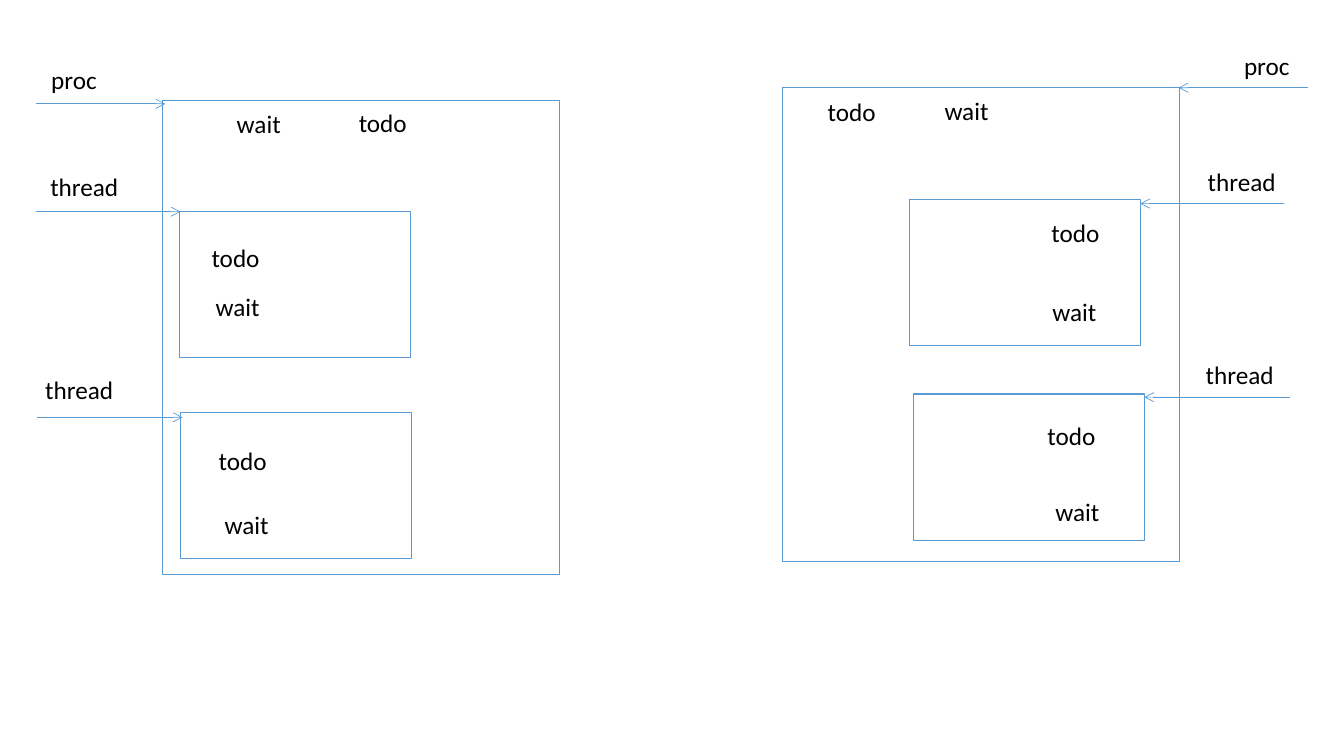
import pptx
import pptx.util
import pptx.dml.color
import pptx.enum.shapes
import pptx.enum.text
import pptx.oxml
import pptx.oxml.ns
import lxml.etree

BLUE = pptx.dml.color.RGBColor(0x5B, 0x9B, 0xD5)
WHITE = pptx.dml.color.RGBColor(0xFF, 0xFF, 0xFF)
BLACK = pptx.dml.color.RGBColor(0, 0, 0)

presentation = pptx.Presentation()
presentation.slide_width = pptx.util.Inches(13.33)
presentation.slide_height = pptx.util.Inches(7.5)
slide = presentation.slides.add_slide(presentation.slide_layouts[6])

# Grid: 133.3 columns by 75 rows, square cells
CELL = presentation.slide_height / 75
PROCESS_SIZE = (39.4, 47)
THREAD_SIZE = (22.9, 14.5)
LABEL_HEIGHT = 4
LABEL_WIDTHS = {"proc": 6.6, "thread": 8.8, "todo": 6.8, "wait": 6.4}
LABEL_FONT = {"name": "Calibri", "size": pptx.util.Pt(18)}
LABEL_FRAME = {
    "word_wrap": False,
    "auto_size": pptx.enum.text.MSO_AUTO_SIZE.SHAPE_TO_FIT_TEXT,
}


def grid(*cells):
    return [pptx.util.Emu(round(cell * CELL)) for cell in cells]


# Each process: its box and two thread boxes, labels by word,
# and arrows as (outer column, box column, row)
processes = [
    {
        "process": (16.1, 10),
        "threads": [(17.8, 21), (17.9, 40.9)],
        "labels": {
            "proc": [(4.1, 5.9)],
            "thread": [(4, 16.5), (3.5, 36.6)],
            "todo": [(34.6, 10.2), (20, 23.5), (20.7, 43.7)],
            "wait": [(22.5, 10.3), (20.4, 28.4), (21.3, 50)],
        },
        "arrows": [(3.6, 16.4, 10.3), (3.6, 17.9, 21), (3.7, 18.1, 41.4)],
    },
    {
        "process": (77.6, 8.7),
        "threads": [(90.2, 19.8), (90.6, 39.1)],
        "labels": {
            "proc": [(122.4, 4.5)],
            "thread": [(118.8, 16), (118.6, 35.2)],
            "todo": [(81.1, 9.1), (103.3, 21.1), (102.9, 41.2)],
            "wait": [(92.7, 9), (103.4, 28.9), (103.7, 48.7)],
        },
        "arrows": [(129.7, 116.9, 8.7), (127.4, 113.1, 20.2), (127.9, 113.5, 39.4)],
    },
]

for process in processes:
    # Process box with its thread boxes on top
    boxes = [(process["process"], PROCESS_SIZE)]
    boxes += [(corner, THREAD_SIZE) for corner in process["threads"]]
    for corner, size in boxes:
        box = slide.shapes.add_shape(
            pptx.enum.shapes.MSO_SHAPE.RECTANGLE, *grid(*corner, *size))
        box.shadow.inherit = False
        box.fill.solid()
        box.fill.fore_color.rgb = WHITE
        box.line.color.rgb = BLUE
        box.line.width = pptx.util.Pt(1)

    # Labels
    for word, corners in process["labels"].items():
        for corner in corners:
            label = slide.shapes.add_textbox(
                *grid(*corner, LABEL_WIDTHS[word], LABEL_HEIGHT))
            for name, value in LABEL_FRAME.items():
                setattr(label.text_frame, name, value)
            run = label.text_frame.paragraphs[0].add_run()
            run.text = word
            for name, value in LABEL_FONT.items():
                setattr(run.font, name, value)
            run.font.color.rgb = BLACK

    # Arrows pointing at the boxes
    for outer, inner, row in process["arrows"]:
        arrow = slide.shapes.add_connector(
            pptx.enum.shapes.MSO_CONNECTOR.STRAIGHT, *grid(outer, row, inner, row))
        arrow.line.color.rgb = BLUE
        arrow.line.width = pptx.util.Pt(0.5)
        properties = arrow.element.spPr
        line = properties.find(pptx.oxml.ns.qn("a:ln"))
        lxml.etree.SubElement(line, pptx.oxml.ns.qn("a:tailEnd"), type="arrow")
        lxml.etree.SubElement(properties, pptx.oxml.ns.qn("a:effectLst"))

presentation.save("out.pptx")
